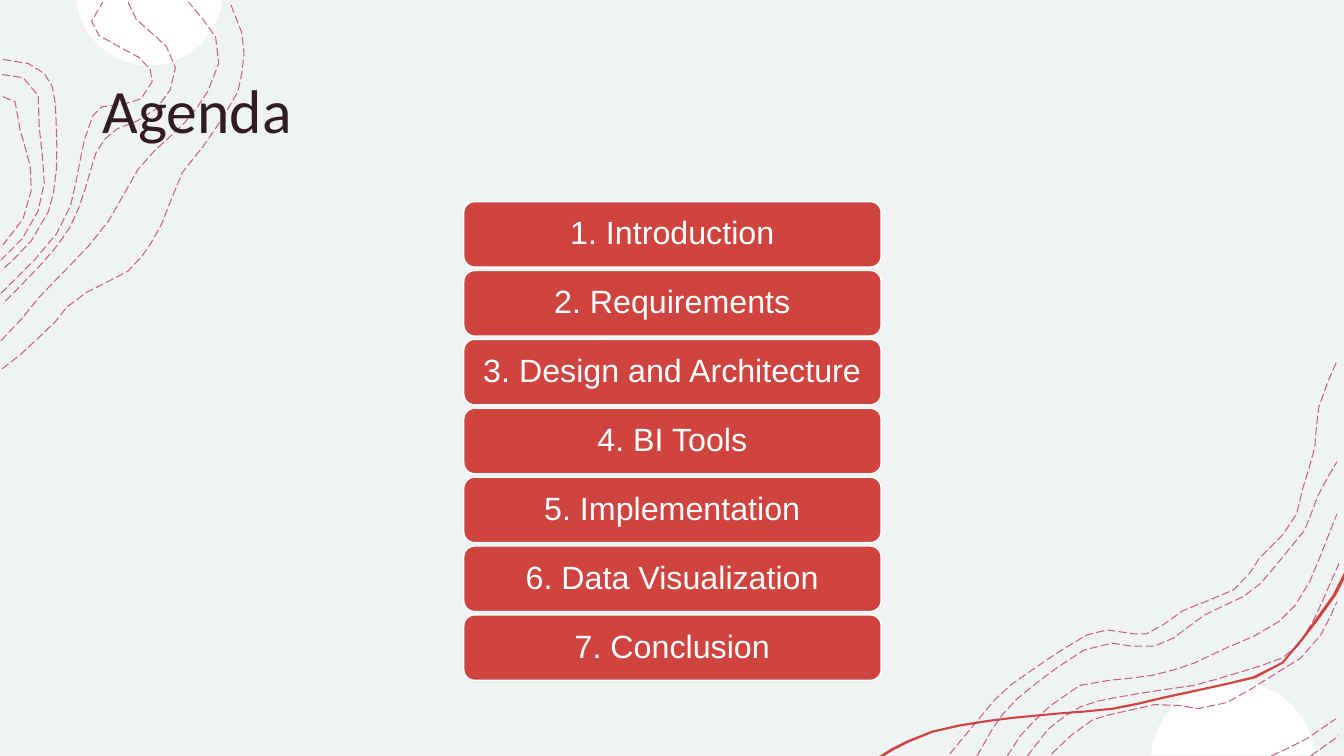
import math
import pptx
import pptx.dml.color
import pptx.enum.dml
import pptx.enum.shapes
import pptx.enum.text
import pptx.oxml
import pptx.oxml.ns
import pptx.util

# Content
TITLE = "Agenda"
TOPICS = ["Introduction", "Requirements", "Design and Architecture", "BI Tools",
          "Implementation", "Data Visualization", "Conclusion"]

# Contour lines: points in px that a smooth curve runs through
LEFT = [
    [(2, 366), (20, 352), (55, 319), (66, 305), (86, 290), (127, 269),
     (141, 254), (160, 223), (181, 171), (201, 146), (219, 120),
     (236, 91), (242, 53), (240, 33), (228, 2)],
    [(1, 338), (21, 317), (38, 296), (64, 269), (88, 244), (108, 219),
     (137, 168), (154, 149), (183, 122), (206, 91), (217, 63), (214, 37), (187, 2)],
    [(127, 2), (135, 19), (165, 46), (174, 67), (169, 89), (155, 108),
     (136, 120), (116, 128), (104, 138), (95, 152), (84, 189),
     (69, 226), (42, 261), (3, 301)],
    [(1, 291), (35, 257), (56, 232), (70, 204), (84, 138), (92, 115),
     (101, 106), (124, 103), (140, 98), (151, 81), (149, 69), (138, 57),
     (98, 35), (91, 21), (102, 2)],
    [(3, 59), (28, 63), (44, 73), (52, 86), (55, 104), (56, 168),
     (48, 210), (31, 239), (2, 268)],
    [(2, 74), (23, 77), (38, 95), (39, 126), (44, 181), (38, 209),
     (22, 237), (1, 258)],
    [(3, 96), (15, 101), (20, 129), (30, 165), (31, 189), (23, 217), (3, 243)],
]
RIGHT = [
    [(942, 748), (971, 713), (986, 695), (1002, 680), (1056, 643), (1078, 630),
     (1098, 625), (1126, 629), (1137, 629), (1155, 619), (1173, 606), (1224, 585),
     (1240, 568), (1249, 554), (1272, 531), (1286, 510), (1292, 485),
     (1304, 444), (1308, 404), (1326, 358)],
    [(969, 750), (985, 722), (1008, 694), (1049, 662), (1075, 645),
     (1103, 638), (1122, 641), (1145, 641), (1164, 633), (1195, 610),
     (1233, 592), (1250, 579), (1276, 548), (1294, 526), (1307, 492), (1326, 458)],
    [(1300, 750), (1328, 730)],
    [(1261, 750), (1296, 733), (1325, 713)],
    [(1043, 748), (1063, 729), (1084, 714), (1119, 705), (1145, 699), (1171, 700),
     (1188, 703), (1217, 697), (1264, 669), (1290, 653), (1310, 630), (1326, 597)],
    [(1019, 750), (1039, 724), (1072, 701), (1107, 692), (1149, 685), (1184, 680),
     (1252, 660), (1271, 653), (1288, 640), (1303, 615), (1328, 559)],
    [(999, 750), (1012, 730), (1042, 700), (1071, 680), (1100, 675),
     (1143, 670), (1184, 658), (1216, 643), (1244, 631), (1268, 617), (1285, 600),
     (1299, 577), (1326, 510)],
]

# The solid ribbon: upper edge going left, lower edge going back right
UPPER = [(1333, 568), (1322, 590), (1304, 615), (1291, 633), (1271, 657), (1243, 671),
         (1214, 678), (1154, 691), (1104, 702), (1048, 707),
         (981, 714), (924, 725), (883, 743), (872, 750)]
LOWER = [(877, 750), (885, 745), (925, 727), (982, 716), (1048, 709),
         (1105, 704), (1155, 693), (1215, 680), (1245, 673), (1273, 658),
         (1293, 634), (1307, 616), (1325, 591), (1333, 575)]

# White caps at the slide edges: centre x, centre y, radius, side (1 down, -1 up)
CAPS = [(148, -8, 73, 1), (1223, 757, 82, -1)]
OVER = 8  # distance from a cap's centre to the slide edge

THEME = dict(paper="F0F3F3", edge="F2F2F2", white="FFFFFF", red="D0443F",
             pink="BF2E65", dark="311C23", head="Calibri", body="Arial",
             big=44, mid=23, thin=0.75, rule=1)

PX = 9144  # EMU in one px, 100 px to the inch
WIDE, HIGH = 1333, 750


def px(*vals):
    return [round(v * PX) for v in vals]


def color(key):
    return pptx.dml.color.RGBColor.from_string(THEME[key])


def style(shape, fill=None, line=None, width=1):
    shape.shadow.inherit = False
    if fill:
        shape.fill.solid()
        shape.fill.fore_color.rgb = color(fill)
    else:
        shape.fill.background()
    if line:
        shape.line.color.rgb = color(line)
        shape.line.width = pptx.util.Pt(width)
    else:
        shape.line.fill.background()
    return shape


def write(frame, text, font, size, ink, align="LEFT", gap=1.0, inset=(10, 5)):
    frame.word_wrap = True
    frame.vertical_anchor = pptx.enum.text.MSO_ANCHOR.MIDDLE
    frame.margin_left = frame.margin_right = inset[0] * PX
    frame.margin_top = frame.margin_bottom = inset[1] * PX
    para = frame.paragraphs[0]
    para.alignment = getattr(pptx.enum.text.PP_ALIGN, align)
    para.line_spacing = gap
    run = para.add_run()
    run.text = text
    run.font.name = THEME[font]
    run.font.size = pptx.util.Pt(THEME[size])
    run.font.color.rgb = color(ink)


def smooth(pts, reach=24):
    """Points of a Catmull-Rom curve through pts, about one reach apart."""
    ends = [pts[0], *pts, pts[-1]]
    out = [pts[0]]
    for a, b, c, d in zip(ends, ends[1:], ends[2:], ends[3:]):
        steps = max(1, round(math.dist(b, c) / reach))
        for i in range(1, steps + 1):
            t = i / steps
            out.append(tuple(
                (2 * q + (r - p) * t + (2 * p - 5 * q + 4 * r - s) * t ** 2
                 + (3 * q - p - 3 * r + s) * t ** 3) / 2
                for p, q, r, s in zip(a, b, c, d)))
    return out


def trace(shapes, pts, close):
    first, *rest = [px(*p) for p in pts]
    form = shapes.build_freeform(*first, scale=1.0)
    form.add_line_segments(rest, close=close)
    return form.convert_to_shape()


def arc(x, y, r, side, steps=18):
    low = math.asin(OVER / r)
    turns = [low + (math.pi - 2 * low) * i / steps for i in range(steps + 1)]
    return [(x + r * math.cos(t), y + side * r * math.sin(t)) for t in turns]


def main():
    deck = pptx.Presentation()
    deck.slide_width, deck.slide_height = px(WIDE, HIGH)
    shapes = deck.slides.add_slide(deck.slide_layouts[6]).shapes
    kind = pptx.enum.shapes.MSO_SHAPE

    # Backdrop, caps and ribbon
    style(shapes.add_shape(kind.RECTANGLE, *px(0, 0, WIDE, HIGH)),
          "paper", "edge", THEME["rule"])
    for cap in CAPS:
        style(trace(shapes, arc(*cap), True), "white")
    style(trace(shapes, smooth(UPPER) + smooth(LOWER), True), "red")

    # Dashed contours, one group per corner
    for curves in (LEFT, RIGHT):
        group = shapes.add_group_shape()
        for pts in curves:
            wave = style(trace(group.shapes, smooth(pts), False),
                         line="pink", width=THEME["thin"])
            wave.line.dash_style = pptx.enum.dml.MSO_LINE.LONG_DASH
            tint = wave.line._ln.find(".//" + pptx.oxml.ns.qn("a:srgbClr"))
            tint.append(pptx.oxml.parse_xml(
                '<a:alpha %s val="75000"/>' % pptx.oxml.ns.nsdecls("a")))

    # Title
    box = shapes.add_textbox(*px(92, 40, 1150, 145))
    write(box.text_frame, TITLE, "head", "big", "dark", gap=0.9)

    # Agenda bars, evenly spread
    left, top, end, wide, high = 460, 200, 675, 414, 65
    step = (end - top - high) / (len(TOPICS) - 1)
    for i, topic in enumerate(TOPICS):
        bar = shapes.add_shape(kind.ROUNDED_RECTANGLE,
                               *px(left, top + i * step, wide, high))
        style(bar, "red", "white", THEME["rule"])
        write(bar.text_frame, f"{i + 1}. {topic}", "body", "mid", "white",
              align="CENTER", gap=0.9, inset=(13, 8))

    deck.save("out.pptx")


if __name__ == "__main__":
    main()
